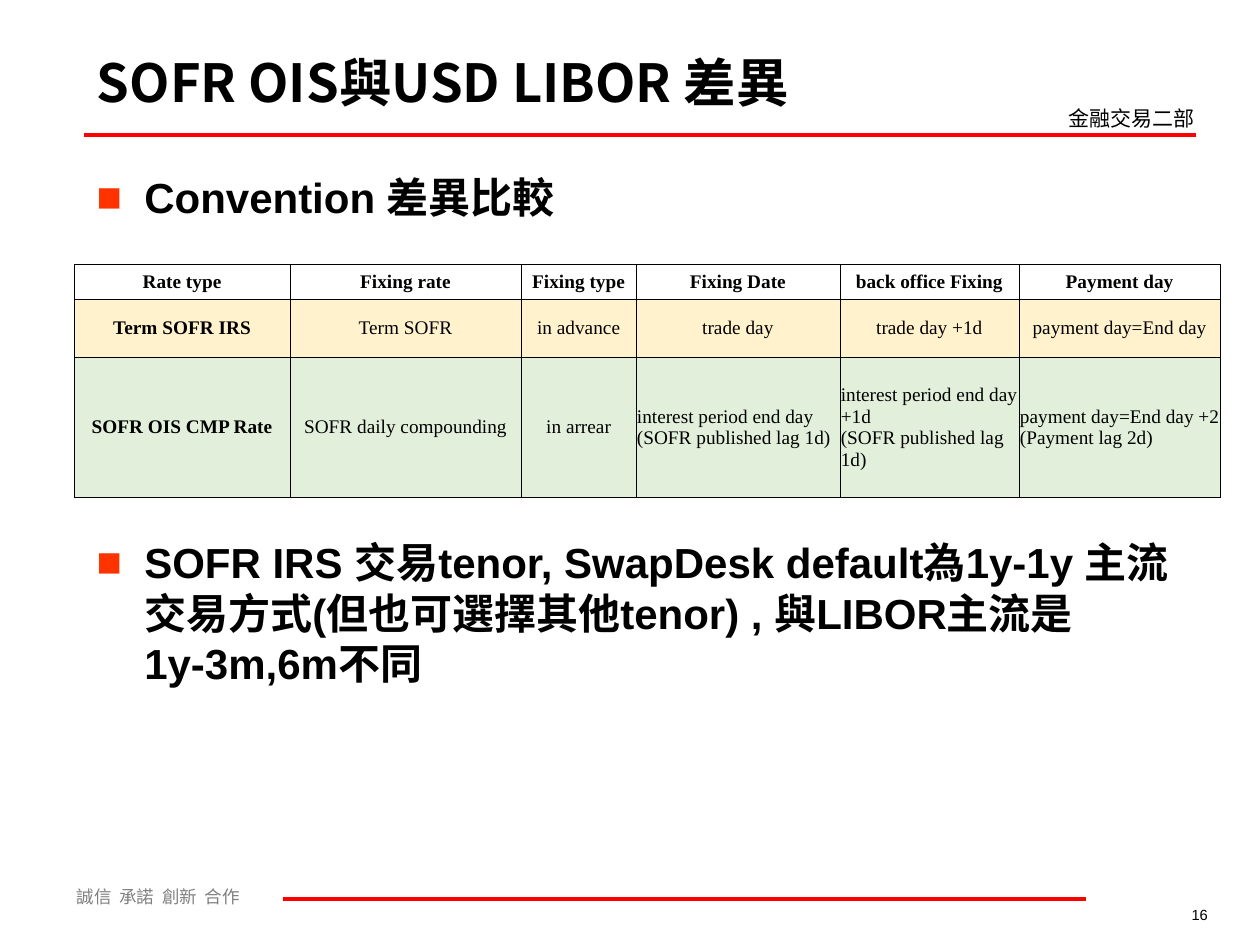
from dataclasses import dataclass

from lxml.etree import SubElement
from pptx import Presentation
from pptx.dml.color import RGBColor as RGB
from pptx.enum.shapes import MSO_CONNECTOR as CONNECTOR
from pptx.enum.text import MSO_ANCHOR as ANCHOR, MSO_AUTO_SIZE as AUTO_SIZE, PP_ALIGN as ALIGN
from pptx.oxml.ns import qn
from pptx.util import Cm, Pt


@dataclass(frozen=True)
class Theme:
    black: RGB = RGB(0, 0, 0)
    grey: RGB = RGB(0x80, 0x80, 0x80)
    red: RGB = RGB(0xFF, 0, 0)
    bullet: str = "FF3300"
    border: str = "000000"
    cream: RGB = RGB(0xFF, 0xF2, 0xCC)
    green: RGB = RGB(0xE2, 0xEF, 0xDA)
    cjk: str = "Noto Sans CJK SC"
    sans: str = "Arial"
    serif: str = "Times New Roman"
    title: float = 30
    body: float = 24
    dept: float = 12
    cell: float = 11
    motto: float = 10
    number: float = 8.4


theme = Theme()


def style(p, size, font, color=theme.black, bold=False, align=ALIGN.LEFT):
    p.alignment = align
    for r in p.runs:
        r.font.size = Pt(size)
        r.font.name = font
        r.font.bold = bold
        r.font.color.rgb = color
        SubElement(r.font._element, qn("a:ea"), typeface=theme.cjk)


def add_text(left, top, width, height, text):
    tf = s.shapes.add_textbox(Cm(left), Cm(top), Cm(width), Cm(height)).text_frame
    tf.word_wrap = True
    tf.text = text
    return tf


prs = Presentation()
prs.slide_width, prs.slide_height = Cm(25.4), Cm(19.05)
s = prs.slides.add_slide(prs.slide_layouts[5])

title = s.shapes.title
title.left, title.top, title.width, title.height = Cm(1.7), Cm(0.76), Cm(18.6), Cm(1.75)
tf = title.text_frame
tf.text = "SOFR OIS與USD LIBOR 差異"
tf.auto_size = AUTO_SIZE.NONE
tf.vertical_anchor = ANCHOR.MIDDLE
style(tf.paragraphs[0], theme.title, theme.cjk, bold=True)

for x1, x2, y in [(1.7, 24.1, 2.72), (5.7, 21.9, 18.13)]:
    rule = s.shapes.add_connector(CONNECTOR.STRAIGHT, Cm(x1), Cm(y), Cm(x2), Cm(y))
    rule.line.color.rgb = theme.red
    rule.line.width = Pt(2.25)
    SubElement(rule._element.spPr, qn("a:effectLst"))

motto = add_text(1.3, 17.73, 6.4, 0.69, "誠信  承諾  創新  合作").paragraphs[0]
style(motto, theme.motto, theme.cjk, theme.grey)
dept = add_text(21.3, 2.01, 3.2, 0.76, "金融交易二部").paragraphs[0]
style(dept, theme.dept, theme.cjk)
number = add_text(21.1, 18.13, 3.5, 0.6, "16").paragraphs[0]
style(number, theme.number, theme.sans, align=ALIGN.RIGHT)

points = [
    "Convention 差異比較",
    "SOFR IRS 交易tenor, SwapDesk default為1y-1y 主流交易方式(但也可選擇其他tenor) , 與LIBOR主流是1y-3m,6m不同",
]
tf = add_text(1.7, 3.33, 22.9, 13.7, "\n".join(points))
for p, before in zip(tf.paragraphs, (6, 180)):
    style(p, theme.body, theme.sans, bold=True)
    p.space_before = Pt(before)
    pPr = p._p.get_or_add_pPr()
    pPr.set("marL", str(Cm(0.96)))
    pPr.set("indent", str(Cm(-0.96)))
    SubElement(SubElement(pPr, qn("a:buClr")), qn("a:srgbClr"), val=theme.bullet)
    SubElement(pPr, qn("a:buFont"), typeface=theme.sans)
    SubElement(pPr, qn("a:buChar"), char="■")

rows = [
    ["Rate type", "Fixing rate", "Fixing type", "Fixing Date", "back office Fixing", "Payment day"],
    ["Term SOFR IRS", "Term SOFR", "in advance", "trade day", "trade day +1d", "payment day=End day"],
    ["SOFR OIS CMP Rate", "SOFR daily compounding", "in arrear",
     "interest period end day\v(SOFR published lag 1d)",
     "interest period end day +1d\v(SOFR published lag 1d)",
     "payment day=End day +2\v(Payment lag 2d)"],
]
col_widths = [4.34, 4.67, 2.31, 4.11, 3.61, 4.06]
row_heights = [0.68, 1.17, 2.82]
row_fills = [None, theme.cream, theme.green]
last_row, last_col = len(rows) - 1, len(col_widths) - 1

frame = s.shapes.add_table(len(rows), len(col_widths), Cm(1.5), Cm(5.33),
                           Cm(sum(col_widths)), Cm(sum(row_heights)))
table = frame.table
for col, width in zip(table.columns, col_widths):
    col.width = Cm(width)
for row, height in zip(table.rows, row_heights):
    row.height = Cm(height)

for i, row in enumerate(rows):
    for j, text in enumerate(row):
        cell = table.cell(i, j)
        cell.text = text
        cell.vertical_anchor = ANCHOR.MIDDLE
        cell.margin_left = cell.margin_right = Cm(0.02)
        cell.margin_top = cell.margin_bottom = Cm(0.12)
        align = ALIGN.LEFT if "\v" in text else ALIGN.CENTER
        style(cell.text_frame.paragraphs[0], theme.cell, theme.serif,
              bold=i == 0 or j == 0, align=align)
        tcPr = cell._tc.get_or_add_tcPr()
        outer_edges = {"lnL": j == 0, "lnR": j == last_col, "lnT": i == 0, "lnB": i == last_row}
        for edge, outer in outer_edges.items():
            ln = SubElement(tcPr, qn(f"a:{edge}"), w=str(Pt(0.45 if outer else 0.23)))
            SubElement(SubElement(ln, qn("a:solidFill")), qn("a:srgbClr"), val=theme.border)
        if row_fills[i] is None:
            cell.fill.background()
        else:
            cell.fill.solid()
            cell.fill.fore_color.rgb = row_fills[i]

prs.save("out.pptx")
